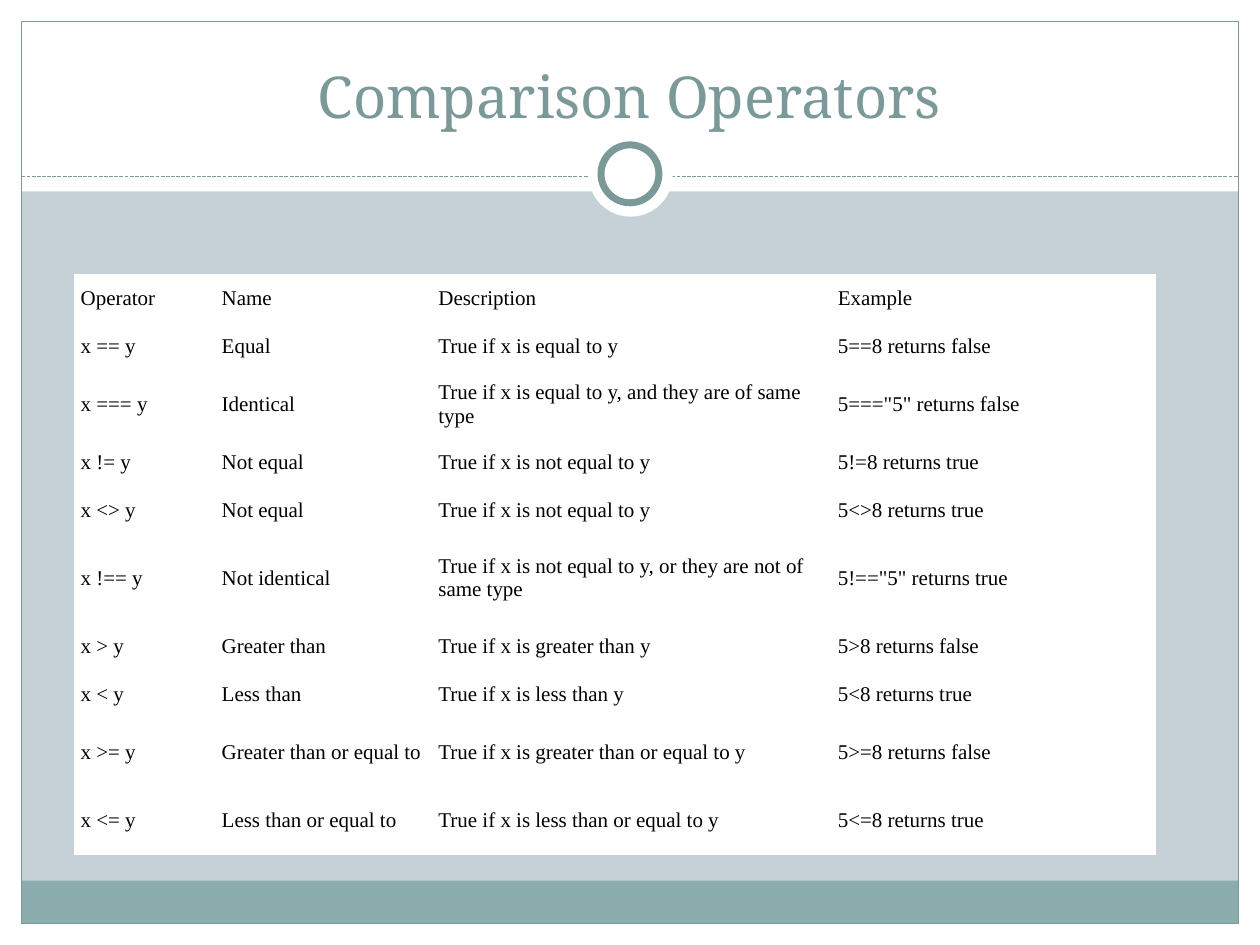
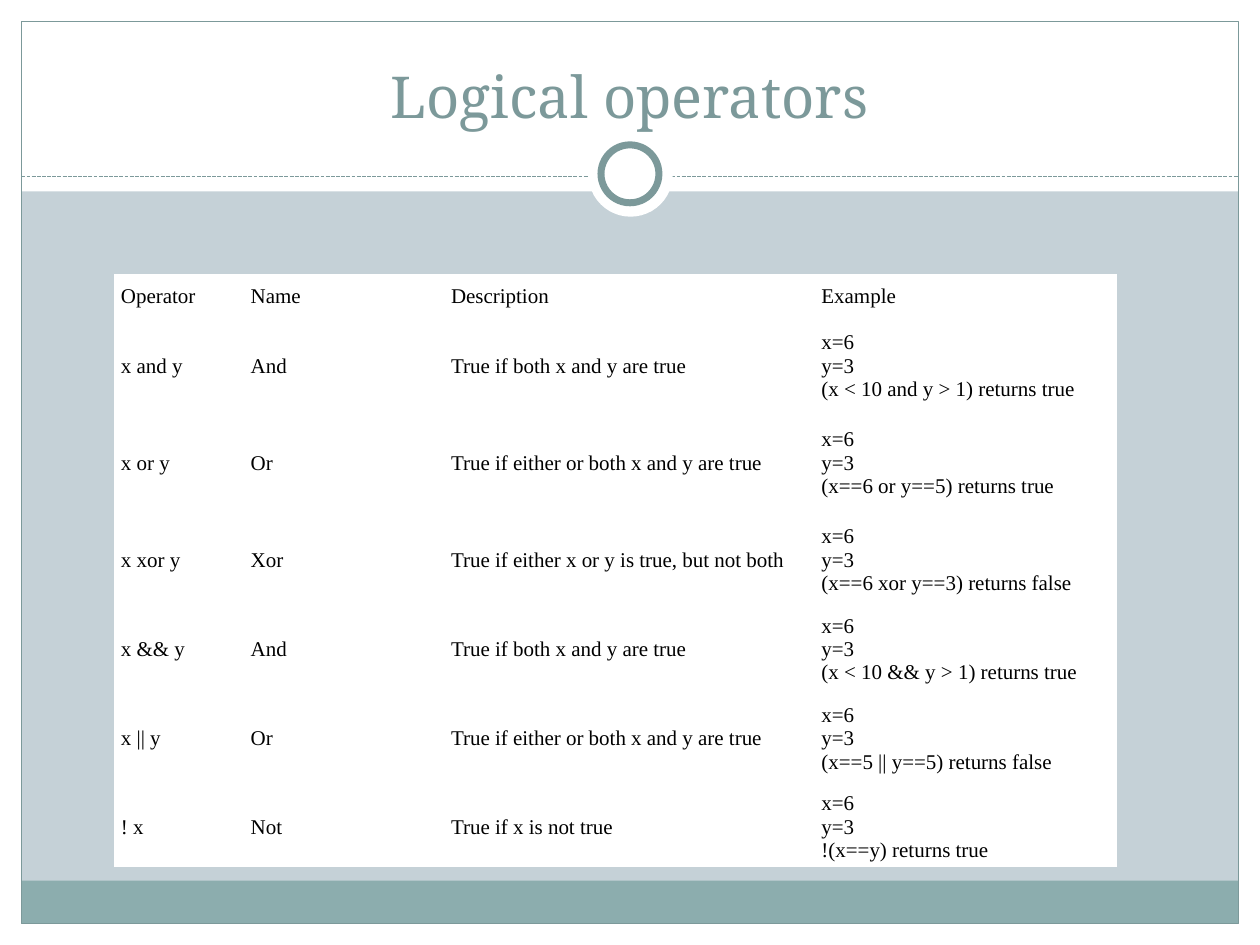
from dataclasses import dataclass
from typing import Optional

from lxml.etree import SubElement
from pptx import Presentation
from pptx.dml.color import RGBColor
from pptx.enum.dml import MSO_LINE
from pptx.enum.shapes import MSO_CONNECTOR, MSO_SHAPE
from pptx.enum.text import MSO_ANCHOR, MSO_AUTO_SIZE, PP_ALIGN
from pptx.oxml.ns import qn
from pptx.util import Inches, Pt


@dataclass(frozen=True)
class Theme:
    """Colours, fonts and type sizes of the deck."""
    backdrop: RGBColor = RGBColor(0xC5, 0xD1, 0xD7)
    paper: RGBColor = RGBColor(0xFF, 0xFF, 0xFF)
    accent: RGBColor = RGBColor(0x7C, 0x99, 0x9A)
    band: RGBColor = RGBColor(0x8C, 0xAD, 0xAE)
    ink: RGBColor = RGBColor(0, 0, 0)
    title_font: str = "Noto Serif"
    table_font: str = "Times New Roman"
    title_size: float = 33
    table_size: float = 12


@dataclass(frozen=True)
class Panel:
    """One preset shape of the frame; lengths in inches, line width in points."""
    left: float
    top: float
    width: float
    height: float
    fill: Optional[RGBColor] = None
    line_width: float = 0
    preset: MSO_SHAPE = MSO_SHAPE.RECTANGLE


@dataclass(frozen=True)
class OperatorTable:
    """A page with a title and one table of operators; lengths in inches."""
    title: str
    left: float
    column_widths: tuple
    row_heights: tuple
    vertical_inset: float
    rows: tuple


THEME = Theme()
WIDTH, HEIGHT, MARGIN = 10, 7.5, 0.17
INNER_WIDTH, INNER_HEIGHT = WIDTH - 2 * MARGIN, HEIGHT - 2 * MARGIN
BAND_HEIGHT = 0.34
RULE_TOP = 1.4
TABLE_TOP = 2.18
SIDE_INSET = 0.05
HEADER = ("Operator", "Name", "Description", "Example")

BACK_PANELS = (
    Panel(0, HEIGHT - MARGIN, WIDTH, MARGIN, THEME.paper),
    Panel(0, 0, WIDTH, 1.52, THEME.paper),
    Panel(0, 0, MARGIN, HEIGHT, THEME.paper),
    Panel(WIDTH - MARGIN, 0, MARGIN, HEIGHT, THEME.paper),
    Panel(MARGIN, HEIGHT - MARGIN - BAND_HEIGHT, INNER_WIDTH, BAND_HEIGHT, THEME.band),
    Panel(MARGIN, MARGIN, INNER_WIDTH, INNER_HEIGHT, line_width=0.75),
)
RING_PANELS = (
    Panel(4.67, 1.05, 0.67, 0.67, THEME.paper, preset=MSO_SHAPE.OVAL),
    Panel(4.77, 1.15, 0.46, 0.46, THEME.paper, 4, MSO_SHAPE.OVAL),
)


def example(expression: str, result: str) -> str:
    """Return the three-line example of a logical operator."""
    return f"x=6\ny=3\n{expression} returns {result}"


COMPARISON = OperatorTable(
    title="Comparison Operators",
    left=0.59,
    column_widths=(1.12, 1.72, 3.17, 2.57),
    row_heights=(0.38, 0.38, 0.54, 0.38, 0.38, 0.7, 0.38, 0.38, 0.54, 0.54),
    vertical_inset=0.03,
    rows=(
        ("x == y", "Equal", "True if x is equal to y", "5==8 returns false"),
        ("x === y", "Identical", "True if x is equal to y, and they are of same type",
         '5==="5" returns false'),
        ("x != y", "Not equal", "True if x is not equal to y", "5!=8 returns true"),
        ("x <> y", "Not equal", "True if x is not equal to y", "5<>8 returns true"),
        ("x !== y", "Not identical",
         "True if x is not equal to y, or they are not of same type",
         '5!=="5" returns true'),
        ("x > y", "Greater than", "True if x is greater than y", "5>8 returns false"),
        ("x < y", "Less than", "True if x is less than y", "5<8 returns true"),
        ("x >= y", "Greater than or equal to",
         "True if x is greater than or equal to y", "5>=8 returns false"),
        ("x <= y", "Less than or equal to",
         "True if x is less than or equal to y", "5<=8 returns true"),
    ),
)

LOGICAL = OperatorTable(
    title="Logical operators",
    left=0.91,
    column_widths=(1.03, 1.59, 2.94, 2.39),
    row_heights=(0.34, 0.77, 0.77, 0.77, 0.65, 0.77, 0.63),
    vertical_inset=0.02,
    rows=(
        ("x and y", "And", "True if both x and y are true",
         example("(x < 10 and y > 1)", "true")),
        ("x or y", "Or", "True if either or both x and y are true",
         example("(x==6 or y==5)", "true")),
        ("x xor y", "Xor", "True if either x or y is true, but not both",
         example("(x==6 xor y==3)", "false")),
        ("x && y", "And", "True if both x and y are true",
         example("(x < 10 && y > 1)", "true")),
        ("x || y", "Or", "True if either or both x and y are true",
         example("(x==5 || y==5)", "false")),
        ("! x", "Not", "True if x is not true", example("!(x==y)", "true")),
    ),
)


def write_text(frame, text: str, *, font: str, size: float, color: RGBColor,
               align=PP_ALIGN.LEFT) -> None:
    """Write text as one paragraph, with a line break at each newline."""
    para = frame.paragraphs[0]
    para.alignment = align
    for index, line in enumerate(text.split("\n")):
        if index:
            para.add_line_break()
        span = para.add_run()
        span.text = line
        span.font.name = font
        span.font.size = Pt(size)
        span.font.color.rgb = color


def draw_panel(page, panel: Panel):
    """Draw one preset shape and return it."""
    shape = page.shapes.add_shape(
        panel.preset, Inches(panel.left), Inches(panel.top),
        Inches(panel.width), Inches(panel.height))
    shape.shadow.inherit = False
    if panel.fill is None:
        shape.fill.background()
    else:
        shape.fill.solid()
        shape.fill.fore_color.rgb = panel.fill
    if panel.line_width:
        shape.line.color.rgb = THEME.accent
        shape.line.width = Pt(panel.line_width)
    else:
        shape.line.fill.background()
    return shape


def draw_rule(page):
    """Draw the dashed rule below the title and return it."""
    rule = page.shapes.add_connector(
        MSO_CONNECTOR.STRAIGHT, Inches(MARGIN), Inches(RULE_TOP),
        Inches(WIDTH - MARGIN), Inches(RULE_TOP))
    rule.line.color.rgb = THEME.accent
    rule.line.width = Pt(0.75)
    rule.line.dash_style = MSO_LINE.SQUARE_DOT
    SubElement(rule.element.spPr, qn("a:effectLst"))
    return rule


def build_layout(deck, layout) -> None:
    """Put the backdrop and frame on the layout that all pages share."""
    layout.background.fill.solid()
    layout.background.fill.fore_color.rgb = THEME.backdrop
    tree = layout.shapes.element
    for holder in list(layout.placeholders)[1:]:
        tree.remove(holder.element)
    # Only slides can create shapes, so the frame is drawn on one and moved.
    page = deck.slides.add_slide(layout)
    frame = [draw_panel(page, panel) for panel in BACK_PANELS]
    frame.append(draw_rule(page))
    frame += [draw_panel(page, panel) for panel in RING_PANELS]
    for shape in frame:
        tree.append(shape.element)


def fill_title(page, text: str) -> None:
    """Place and format the title placeholder."""
    title = page.shapes.title
    title.left, title.top = Inches(0.33), Inches(0.25)
    title.width, title.height = Inches(9.33), Inches(0.83)
    title.text_frame.auto_size = MSO_AUTO_SIZE.NONE
    title.text_frame.vertical_anchor = MSO_ANCHOR.BOTTOM
    write_text(title.text_frame, text, font=THEME.title_font, size=THEME.title_size,
               color=THEME.accent, align=PP_ALIGN.CENTER)


def draw_table(page, content: OperatorTable) -> None:
    """Draw the operator table with plain white cells."""
    rows = (HEADER,) + content.rows
    table = page.shapes.add_table(
        len(rows), len(HEADER), Inches(content.left), Inches(TABLE_TOP),
        Inches(sum(content.column_widths)), Inches(sum(content.row_heights))).table
    table.first_row = table.horz_banding = False
    for column, width in zip(table.columns, content.column_widths):
        column.width = Inches(width)
    for row, height, texts in zip(table.rows, content.row_heights, rows):
        row.height = Inches(height)
        for cell, text in zip(row.cells, texts):
            cell.fill.solid()
            cell.fill.fore_color.rgb = THEME.paper
            cell.vertical_anchor = MSO_ANCHOR.MIDDLE
            cell.margin_left = cell.margin_right = Inches(SIDE_INSET)
            cell.margin_top = cell.margin_bottom = Inches(content.vertical_inset)
            write_text(cell.text_frame, text, font=THEME.table_font,
                       size=THEME.table_size, color=THEME.ink)


def main() -> None:
    """Build the deck and save it."""
    deck = Presentation()
    deck.slide_width, deck.slide_height = Inches(WIDTH), Inches(HEIGHT)
    layout = deck.slide_layouts.get_by_name("Title Only")
    build_layout(deck, layout)
    pages = [deck.slides[0], deck.slides.add_slide(layout)]
    for page, content in zip(pages, (COMPARISON, LOGICAL)):
        fill_title(page, content.title)
        draw_table(page, content)
    deck.save("out.pptx")


main()
